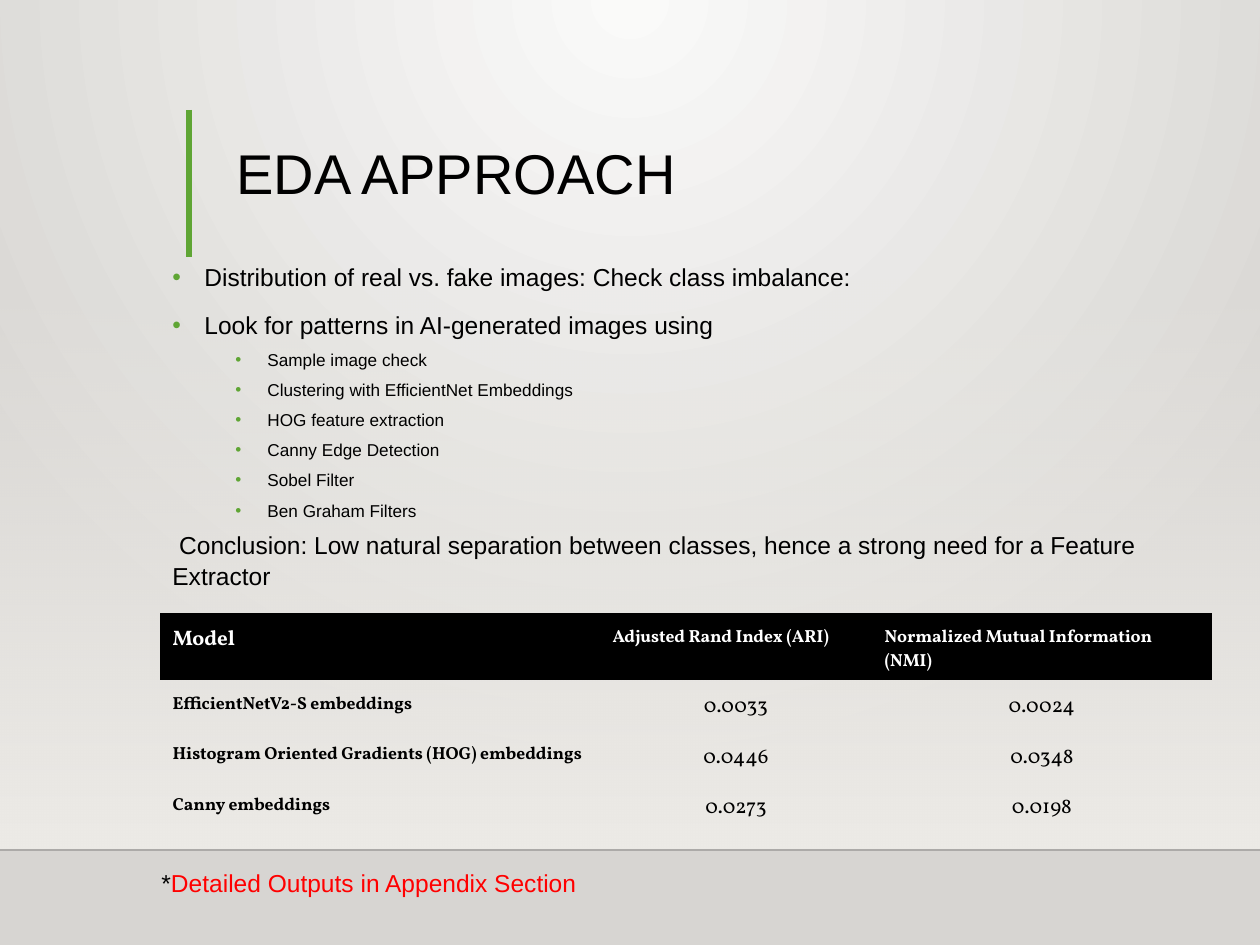
"""Build the EDA approach slide."""
from dataclasses import dataclass

from lxml import etree
from pptx import Presentation
from pptx.dml.color import RGBColor
from pptx.enum.shapes import MSO_CONNECTOR, MSO_SHAPE
from pptx.enum.text import MSO_ANCHOR, PP_ALIGN
from pptx.oxml.ns import qn
from pptx.util import Pt

LINE, RECT = MSO_CONNECTOR.STRAIGHT, MSO_SHAPE.RECTANGLE
LEFT, MID = PP_ALIGN.LEFT, PP_ALIGN.CENTER
TOP, HALF = MSO_ANCHOR.TOP, MSO_ANCHOR.MIDDLE
PX = 914400 / 126
PLAIN = "{2D5ABB26-0587-4C30-8999-92F81FD0307C}"


@dataclass(frozen=True)
class Theme:
    glow: str = "FAFAF9"
    edge: str = "D7D5D2"
    wall: str = "EDEBE7"
    rule: str = "000001"
    green: str = "5FA534"
    black: str = "000000"
    white: str = "FFFFFF"
    red: str = "FF0000"
    sans: str = "Arial"
    serif: str = "Vollkorn"
    head: float = 32
    main: float = 14
    sub: float = 9.8
    cell: float = 12
    small: float = 10


T = Theme()


def node(root, tag, **vals):
    item = etree.SubElement(root, qn(tag))
    for key, val in vals.items():
        item.set(key, str(val))
    return item


def write(para, text, size, color=T.black, name=T.sans, bold=False):
    run = para.add_run()
    run.text = text
    for key, val in {"size": Pt(size), "name": name, "bold": bold}.items():
        setattr(run.font, key, val)
    run.font.color.rgb = RGBColor.from_string(color)


deck = Presentation()
deck.slide_width, deck.slide_height = round(1260 * PX), round(945 * PX)
slide = deck.slides.add_slide(deck.slide_layouts[5])
shapes = slide.shapes

back = slide.background.fill
back.gradient()
for stop, color, place in zip(back.gradient_stops, (T.glow, T.edge), (0, 1)):
    stop.color.rgb = RGBColor.from_string(color)
    stop.position = place
grad = next(slide.element.iter(qn("a:gradFill")))
grad.remove(grad.find(qn("a:lin")))
ring = node(grad, "a:path", path="circle")
node(ring, "a:fillToRect", l=43000, t=0, r=43000, b=100000)

wall = shapes.add_shape(RECT, *[round(n * PX) for n in (0, 277, 1260, 572)])
wall.shadow.inherit = False
wall.line.fill.background()
wall.fill.gradient()
wall.fill.gradient_angle = 270
for stop, place in zip(wall.fill.gradient_stops, (0, 1)):
    stop.color.rgb = RGBColor.from_string(T.wall)
    stop.position = place
node(next(wall.element.iter(qn("a:srgbClr"))), "a:alpha", val=0)

for ends, color, width, alpha in (
    ((0, 850, 1260, 850), T.rule, 1, 20000),
    ((189, 110, 189, 257), T.green, 3, 100000),
):
    rule = shapes.add_connector(LINE, *[round(n * PX) for n in ends])
    rule.line.color.rgb = RGBColor.from_string(color)
    rule.line.width = Pt(width)
    node(next(rule.element.iter(qn("a:srgbClr"))), "a:alpha", val=alpha)
    node(rule.element.spPr, "a:effectLst")

title = shapes.title
body = shapes.add_textbox(0, 0, 0, 0)
note = shapes.add_textbox(0, 0, 0, 0)
for box, spot, anchor in (
    (title, (224, 142, 489, 69), HALF),
    (body, (160, 255, 1052, 344), TOP),
    (note, (149, 859, 1052, 55), TOP),
):
    for key, val in zip(("left", "top", "width", "height"), spot):
        setattr(box, key, round(val * PX))
    box.text_frame.word_wrap = True
    box.text_frame.vertical_anchor = anchor

para = title.text_frame.paragraphs[0]
para.alignment, para.line_spacing = LEFT, 0.9
write(para, "EDA APPROACH", T.head)

lines = (
    ("Distribution of real vs. fake images: Check class imbalance:", 0, 32, 0),
    ("Look for patterns in AI-generated images using", 0, 32, 10),
    ("Sample image check", 1, 95, 5),
    ("Clustering with EfficientNet Embeddings", 1, 95, 5),
    ("HOG feature extraction", 1, 95, 5),
    ("Canny Edge Detection", 1, 95, 5),
    ("Sobel Filter", 1, 95, 5),
    ("Ben Graham Filters", 1, 95, 5),
    (" Conclusion: Low natural separation between classes, "
     "hence a strong need for a Feature Extractor", 1, 0, 5),
)
frame = body.text_frame
for spot, (text, level, inset, gap) in enumerate(lines):
    para = frame.add_paragraph() if spot else frame.paragraphs[0]
    form = {"level": level, "line_spacing": 1.04, "space_before": Pt(gap)}
    for key, val in form.items():
        setattr(para, key, val)
    props = para._p.get_or_add_pPr()
    props.set("marL", str(round(inset * PX)))
    props.set("indent", str(round(-32 * PX) if inset else 0))
    if inset:
        node(node(props, "a:buClr"), "a:srgbClr", val=T.green)
        node(props, "a:buFont", typeface=T.sans)
        node(props, "a:buChar", char="•")
    write(para, text, T.sub if level and inset else T.main)

rows = (
    ("Model", "Adjusted Rand Index (ARI)", "Normalized Mutual Information (NMI)"),
    ("EfficientNetV2-S embeddings", "0.0033", "0.0024"),
    ("Histogram Oriented Gradients (HOG) embeddings", "0.0446", "0.0348"),
    ("Canny embeddings", "0.0273", "0.0198"),
)
spot = [round(n * PX) for n in (160, 613, 1052, 202)]
grid = shapes.add_table(len(rows), len(rows[0]), *spot)
next(grid.element.iter(qn("a:tableStyleId"))).text = PLAIN
table = grid.table
for col, wide in zip(table.columns, (440, 272, 340)):
    col.width = round(wide * PX)
for row, high in zip(table.rows, (33, 38, 47, 47)):
    row.height = round(high * PX)
sides = ("margin_left", "margin_top", "margin_right", "margin_bottom")
for r, row in enumerate(rows):
    for c, text in enumerate(row):
        cell = table.cell(r, c)
        for side in sides:
            setattr(cell, side, round(12.6 * PX))
        if r == 0:
            cell.fill.solid()
            cell.fill.fore_color.rgb = RGBColor.from_string(T.black)
        else:
            cell.fill.background()
        score = r > 0 and c > 0
        para = cell.text_frame.paragraphs[0]
        para.alignment = MID if score else LEFT
        size = T.cell if score or r == c == 0 else T.small
        write(para, text, size, T.black if r else T.white, T.serif, not score)

para = note.text_frame.paragraphs[0]
for key, val in {"level": 1, "line_spacing": 1.1, "space_before": Pt(5)}.items():
    setattr(para, key, val)
para._p.get_or_add_pPr().set("marL", "0")
write(para, "*", T.main)
write(para, "Detailed Outputs in Appendix Section", T.main, T.red)

deck.save("out.pptx")
